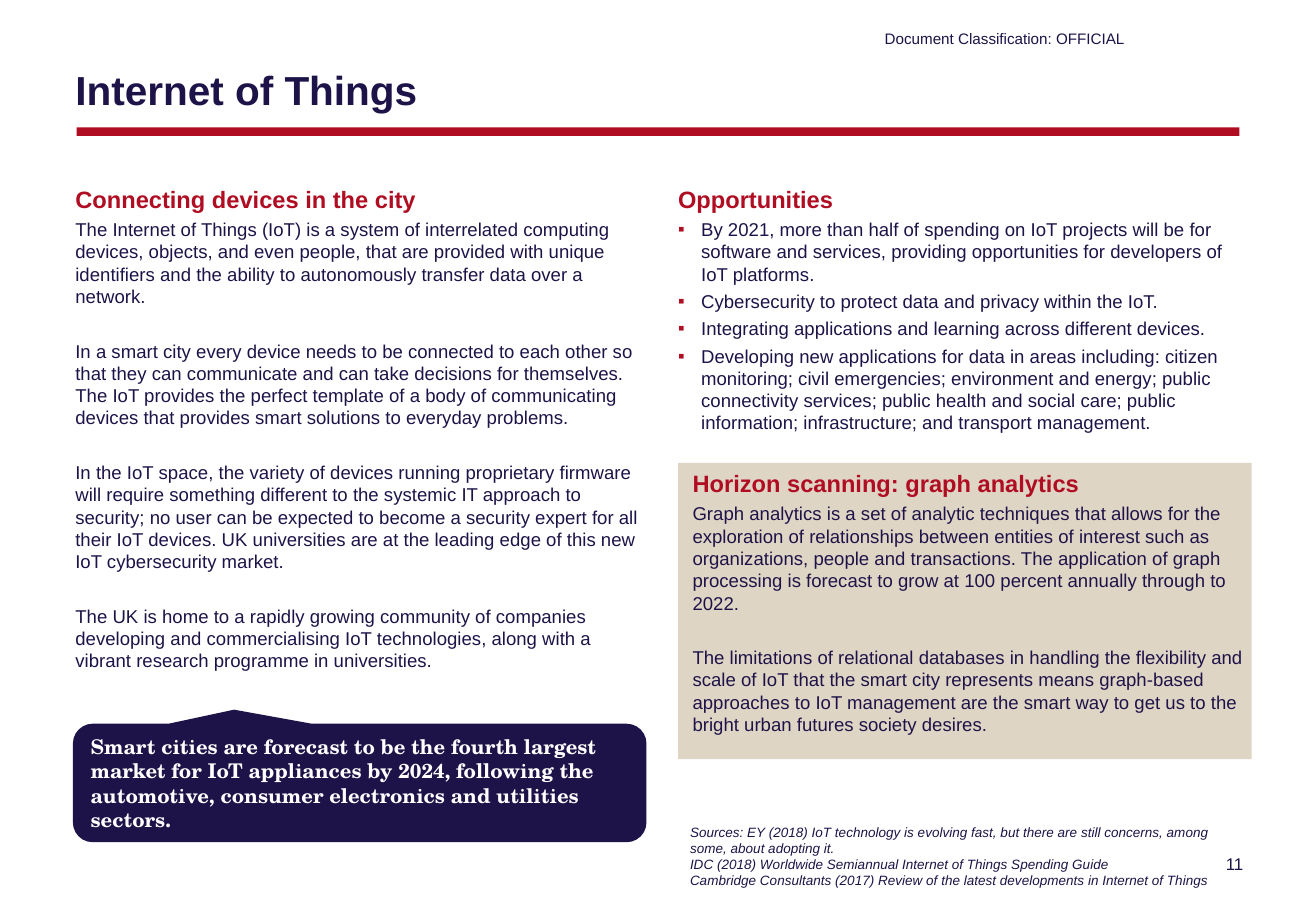
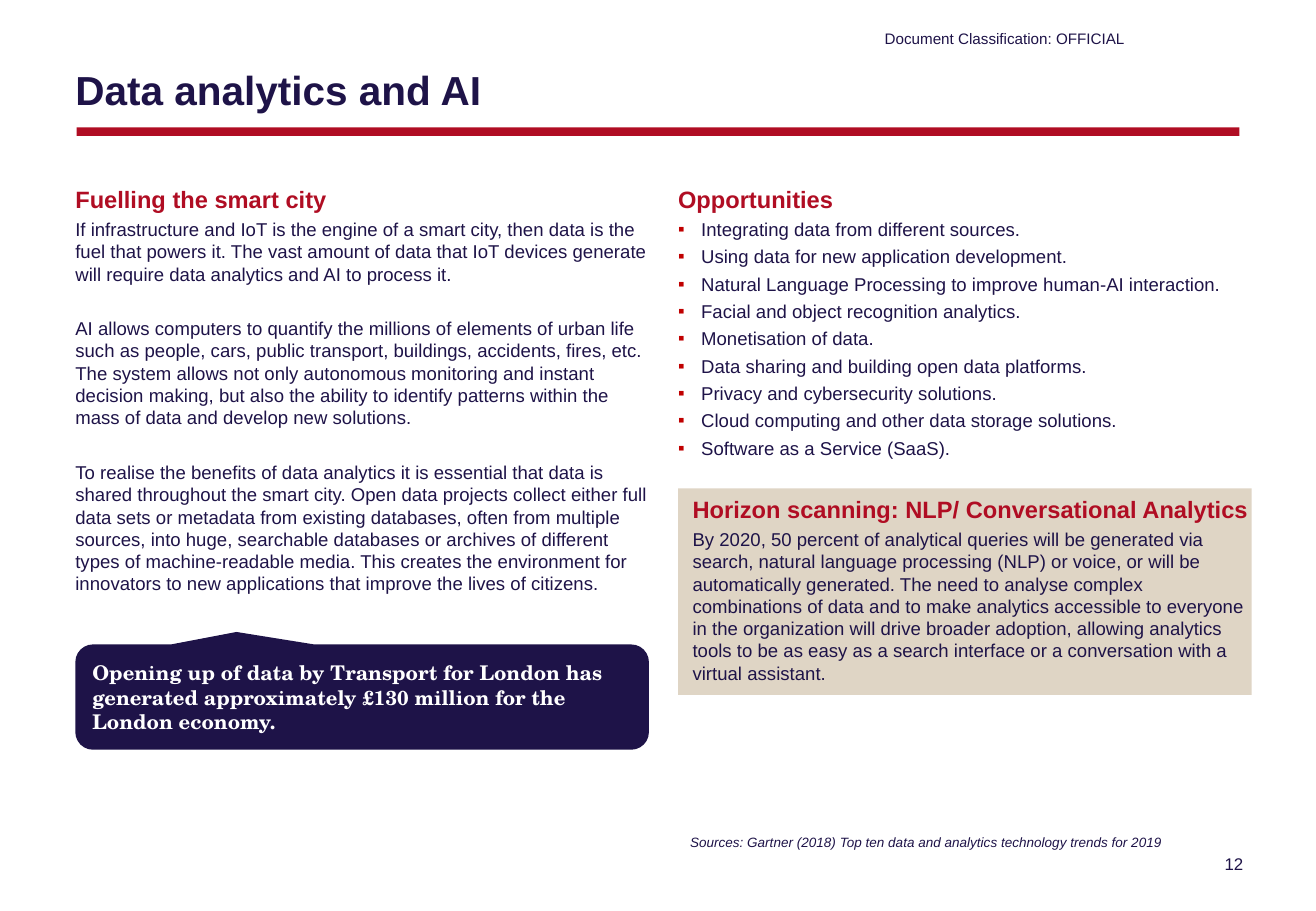
from lxml import etree
from pptx import Presentation
from pptx.dml.color import RGBColor
from pptx.enum.shapes import MSO_SHAPE
from pptx.enum.text import MSO_ANCHOR, MSO_AUTO_SIZE, PP_ALIGN
from pptx.oxml.ns import qn
from pptx.util import Pt

RECT, CALLOUT = MSO_SHAPE.RECTANGLE, MSO_SHAPE.ROUNDED_RECTANGULAR_CALLOUT
TOP, MIDDLE = MSO_ANCHOR.TOP, MSO_ANCHOR.MIDDLE
LEFT, RIGHT = PP_ALIGN.LEFT, PP_ALIGN.RIGHT

NAVY = RGBColor(0x1E, 0x13, 0x48)
RED = RGBColor(0xB0, 0x0D, 0x23)
BULLET_RED = RGBColor(0xC0, 0x00, 0x00)
SAND = RGBColor(0xDF, 0xD5, 0xC5)
WHITE = RGBColor(0xFF, 0xFF, 0xFF)

SANS, SERIF = "Arial", "TeX Gyre Schola"
SLIDE_W, SLIDE_H = 779.76, 540
LEFT_X, RIGHT_X, COL_Y, COL_W = 44.64, 401.76, 105.84, 339.84
PARA_GAP, BLOCK_GAP = 3, 19.2
BULLET_INDENT = 13.7


def set_bullet(p, color):
    pPr = p._p.get_or_add_pPr()
    pPr.set("marL", str(Pt(BULLET_INDENT)))
    pPr.set("indent", str(-Pt(BULLET_INDENT)))
    clr = etree.SubElement(pPr, qn("a:buClr"))
    etree.SubElement(clr, qn("a:srgbClr")).set("val", str(color))
    etree.SubElement(pPr, qn("a:buFont")).set("typeface", SANS)
    etree.SubElement(pPr, qn("a:buChar")).set("char", "▪")


def write(tf, text, size=11, color=NAVY, bold=False, italic=False, font=SANS,
          align=LEFT, after=0, bullet=None):
    """Add one paragraph, filling the first one if it is still empty."""
    p = tf.paragraphs[0] if not tf.text else tf.add_paragraph()
    p.alignment = align
    p.space_before, p.space_after = Pt(0), Pt(after)
    if bullet is not None:
        set_bullet(p, bullet)
    r = p.add_run()
    r.text = text
    f = r.font
    f.name, f.size, f.bold, f.italic = font, Pt(size), bold, italic
    f.color.rgb = color


def set_frame(tf, anchor=TOP, insets=(0, 3.6, 0, 3.6)):
    tf.word_wrap = True
    tf.auto_size = MSO_AUTO_SIZE.NONE
    tf.vertical_anchor = anchor
    tf.margin_left, tf.margin_top, tf.margin_right, tf.margin_bottom = map(Pt, insets)
    return tf


def add_box(s, x, y, w, h, **frame):
    return set_frame(s.shapes.add_textbox(Pt(x), Pt(y), Pt(w), Pt(h)).text_frame, **frame)


def add_filled(s, kind, x, y, w, h, fill):
    sp = s.shapes.add_shape(kind, Pt(x), Pt(y), Pt(w), Pt(h))
    sp.shadow.inherit = False
    sp.fill.solid()
    sp.fill.fore_color.rgb = fill
    sp.line.fill.background()
    return sp


def write_blocks(tf, heading, blocks):
    write(tf, heading, size=14, color=RED, bold=True, after=PARA_GAP)
    for i, text in enumerate(blocks, 1):
        write(tf, text, after=BLOCK_GAP if i < len(blocks) else PARA_GAP)


def add_header(s, title, number):
    add_filled(s, RECT, 45.4, 75.6, 689, 5, RED)
    tf = add_box(s, 524.2, 17.3, 150, 11.5, anchor=MIDDLE, insets=(0, 0, 0, 0))
    write(tf, "Document Classification: OFFICIAL", size=9)
    tf = add_box(s, 707, 502.6, 36.8, 17.3, insets=(7.2, 3.6, 7.2, 3.6))
    write(tf, str(number), size=10, align=RIGHT)
    sp = s.shapes.title
    sp.left, sp.top, sp.width, sp.height = Pt(LEFT_X), Pt(27.4), Pt(694.8), Pt(51)
    write(set_frame(sp.text_frame, anchor=MIDDLE), title, size=24, bold=True)


def add_story(s, x, y, w, h, heading, blocks):
    write_blocks(add_box(s, x, y, w, h), heading, blocks)


def add_opportunities(s, x, y, w, h, items, bullet):
    tf = add_box(s, x, y, w, h)
    write(tf, "Opportunities", size=14, color=RED, bold=True, after=PARA_GAP)
    for text in items:
        write(tf, text, after=PARA_GAP, bullet=bullet)


def add_horizon(s, x, y, w, h, topic, blocks):
    sp = add_filled(s, RECT, x, y, w, h, SAND)
    tf = set_frame(sp.text_frame, insets=(8.6, 3.6, 0, 3.6))
    write_blocks(tf, "Horizon scanning: " + topic, blocks)


def add_callout(s, x, y, w, h, text):
    sp = add_filled(s, CALLOUT, x, y, w, h, NAVY)
    for i, value in enumerate((-0.219, -0.619, 0.167)):
        sp.adjustments[i] = value
    tf = set_frame(sp.text_frame, anchor=MIDDLE, insets=(7.2, 3.6, 7.2, 3.6))
    write(tf, text, size=12, color=WHITE, bold=True, font=SERIF)


def add_sources(s, x, y, w, h, lines):
    tf = add_box(s, x, y, w, h, insets=(7.2, 3.6, 7.2, 3.6))
    for text in lines:
        write(tf, text, size=8, italic=True)


def add_topic_slide(prs, number, title, story, opportunities, horizon, callout, sources):
    s = prs.slides.add_slide(prs.slide_layouts[5])
    add_header(s, title, number)
    add_story(s, LEFT_X, COL_Y, COL_W, **story)
    add_opportunities(s, RIGHT_X, COL_Y, COL_W, **opportunities)
    add_sources(s, RIGHT_X, w=342, **sources)
    add_callout(s, w=COL_W, **callout)
    add_horizon(s, RIGHT_X, w=COL_W, **horizon)


TOPICS = [
    dict(
        title="Internet of Things",
        story=dict(h=300, heading="Connecting devices in the city", blocks=[
            "The Internet of Things (IoT) is a system of interrelated computing devices, "
            "objects, and even people, that are provided with unique identifiers and the "
            "ability to autonomously transfer data over a network.",
            "In a smart city every device needs to be connected to each other so that they "
            "can communicate and can take decisions for themselves. The IoT provides the "
            "perfect template of a body of communicating devices that provides smart "
            "solutions to everyday problems.",
            "In the IoT space, the variety of devices running proprietary firmware will "
            "require something different to the systemic IT approach to security; no user "
            "can be expected to become a security expert for all their IoT devices. UK "
            "universities are at the leading edge of this new IoT cybersecurity market.",
            "The UK is home to a rapidly growing community of companies developing and "
            "commercialising IoT technologies, along with a vibrant research programme in "
            "universities.",
        ]),
        opportunities=dict(h=158.4, bullet=RED, items=[
            "By 2021, more than half of spending on IoT projects will be for software and "
            "services, providing opportunities for developers of IoT platforms.",
            "Cybersecurity to protect data and privacy within the IoT.",
            "Integrating applications and learning across different devices.",
            "Developing new applications for data in areas including: citizen monitoring; "
            "civil emergencies; environment and energy; public connectivity services; "
            "public health and social care; public information; infrastructure; and "
            "transport management.",
        ]),
        horizon=dict(y=274.4, h=175.6, topic="graph analytics", blocks=[
            "Graph analytics is a set of analytic techniques that allows for the "
            "exploration of relationships between entities of interest such as "
            "organizations, people and transactions. The application of graph processing "
            "is forecast to grow at 100 percent annually through to 2022.",
            "The limitations of relational databases in handling the flexibility and scale "
            "of IoT that the smart city represents means graph-based approaches to IoT "
            "management are the smart way to get us to the bright urban futures society "
            "desires.",
        ]),
        callout=dict(x=43.2, y=429, h=70.2, text=(
            "Smart cities are forecast to be the fourth largest market for IoT appliances "
            "by 2024, following the automotive, consumer electronics and utilities "
            "sectors.")),
        sources=dict(y=484.6, h=46, lines=[
            "Sources: EY (2018) IoT technology is evolving fast, but there are still "
            "concerns, among some, about adopting it.",
            "IDC (2018) Worldwide Semiannual Internet of Things Spending Guide",
            "Cambridge Consultants (2017) Review of the latest developments in Internet "
            "of Things",
        ]),
    ),
    dict(
        title="Data analytics and AI",
        story=dict(h=349, heading="Fuelling the smart city", blocks=[
            "If infrastructure and IoT is the engine of a smart city, then data is the fuel "
            "that powers it. The vast amount of data that IoT devices generate will require "
            "data analytics and AI to process it.",
            "AI allows computers to quantify the millions of elements of urban life such as "
            "people, cars, public transport, buildings, accidents, fires, etc. The system "
            "allows not only autonomous monitoring and instant decision making, but also "
            "the ability to identify patterns within the mass of data and develop new "
            "solutions.",
            "To realise the benefits of data analytics it is essential that data is shared "
            "throughout the smart city. Open data projects collect either full data sets or "
            "metadata from existing databases, often from multiple sources, into huge, "
            "searchable databases or archives of different types of machine-readable media. "
            "This creates the environment for innovators to new applications that improve "
            "the lives of citizens.",
        ]),
        opportunities=dict(h=161.3, bullet=BULLET_RED, items=[
            "Integrating data from different sources.",
            "Using data for new application development.",
            "Natural Language Processing to improve human-AI interaction.",
            "Facial and object recognition analytics.",
            "Monetisation of data.",
            "Data sharing and building open data platforms.",
            "Privacy and cybersecurity solutions.",
            "Cloud computing and other data storage solutions.",
            "Software as a Service (SaaS).",
        ]),
        horizon=dict(y=289.6, h=122.4, topic="NLP/ Conversational Analytics", blocks=[
            "By 2020, 50 percent of analytical queries will be generated via search, "
            "natural language processing (NLP) or voice, or will be automatically "
            "generated. The need to analyse complex combinations of data and to make "
            "analytics accessible to everyone in the organization will drive broader "
            "adoption, allowing analytics tools to be as easy as a search interface or a "
            "conversation with a virtual assistant.",
        ]),
        callout=dict(x=LEFT_X, y=382, h=62.4, text=(
            "Opening up of data by Transport for London has generated approximately £130 "
            "million for the London economy.")),
        sources=dict(y=491, h=17.3, lines=[
            "Sources: Gartner (2018) Top ten data and analytics technology trends for 2019",
        ]),
    ),
]


def main():
    prs = Presentation()
    prs.slide_width, prs.slide_height = Pt(SLIDE_W), Pt(SLIDE_H)
    for number, topic in enumerate(TOPICS, 11):
        add_topic_slide(prs, number, **topic)
    prs.save("out.pptx")


if __name__ == "__main__":
    main()
